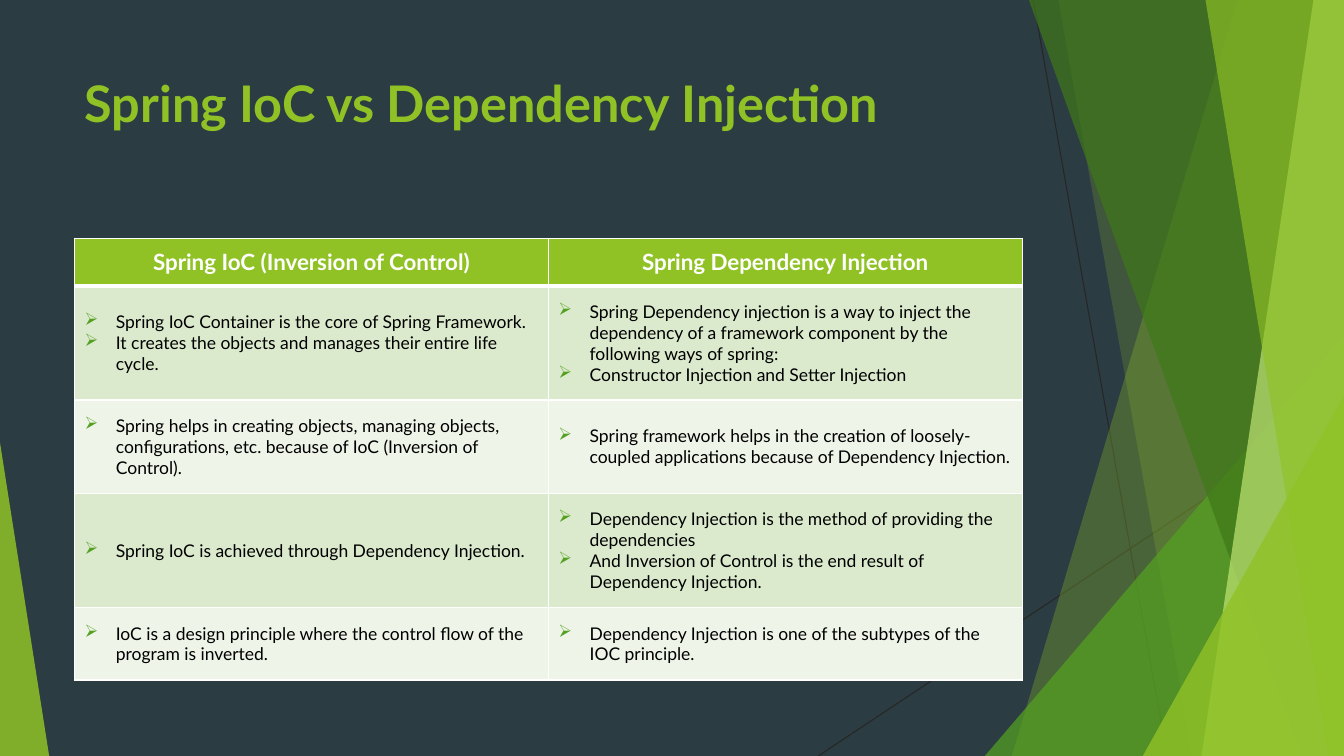
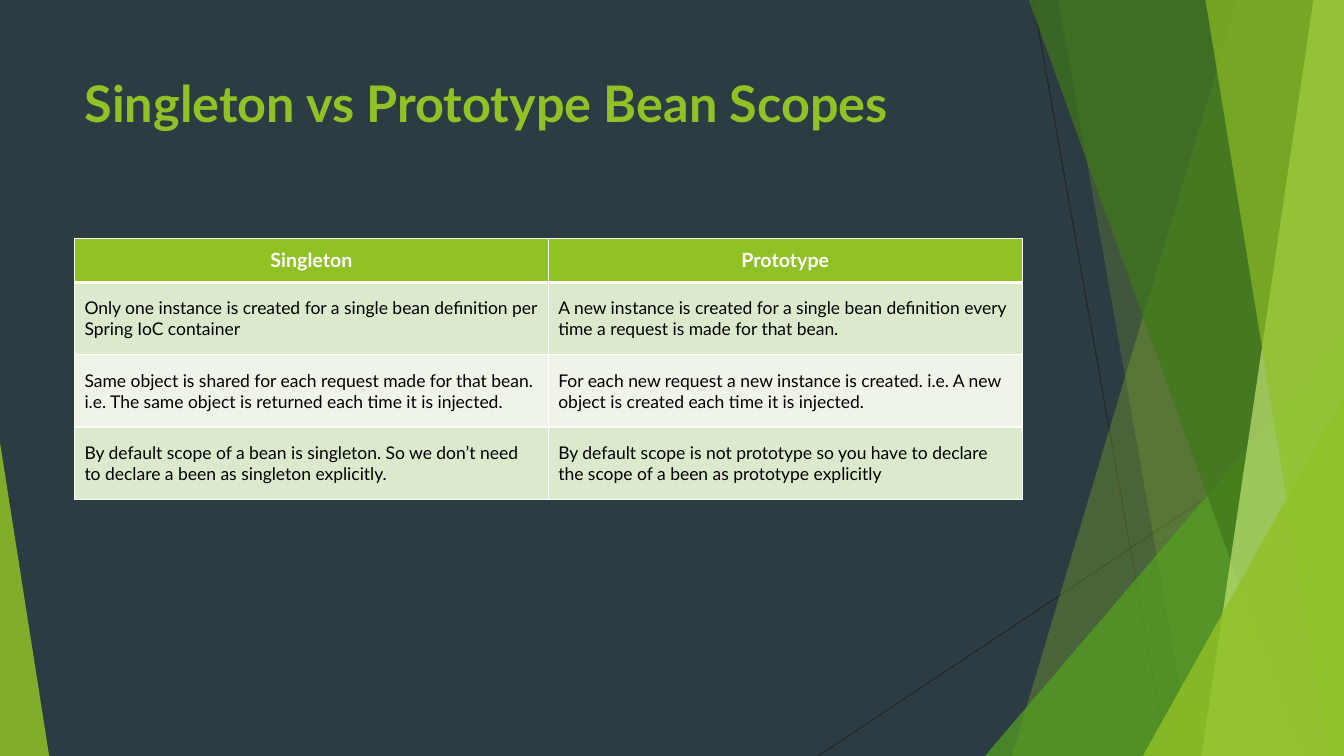
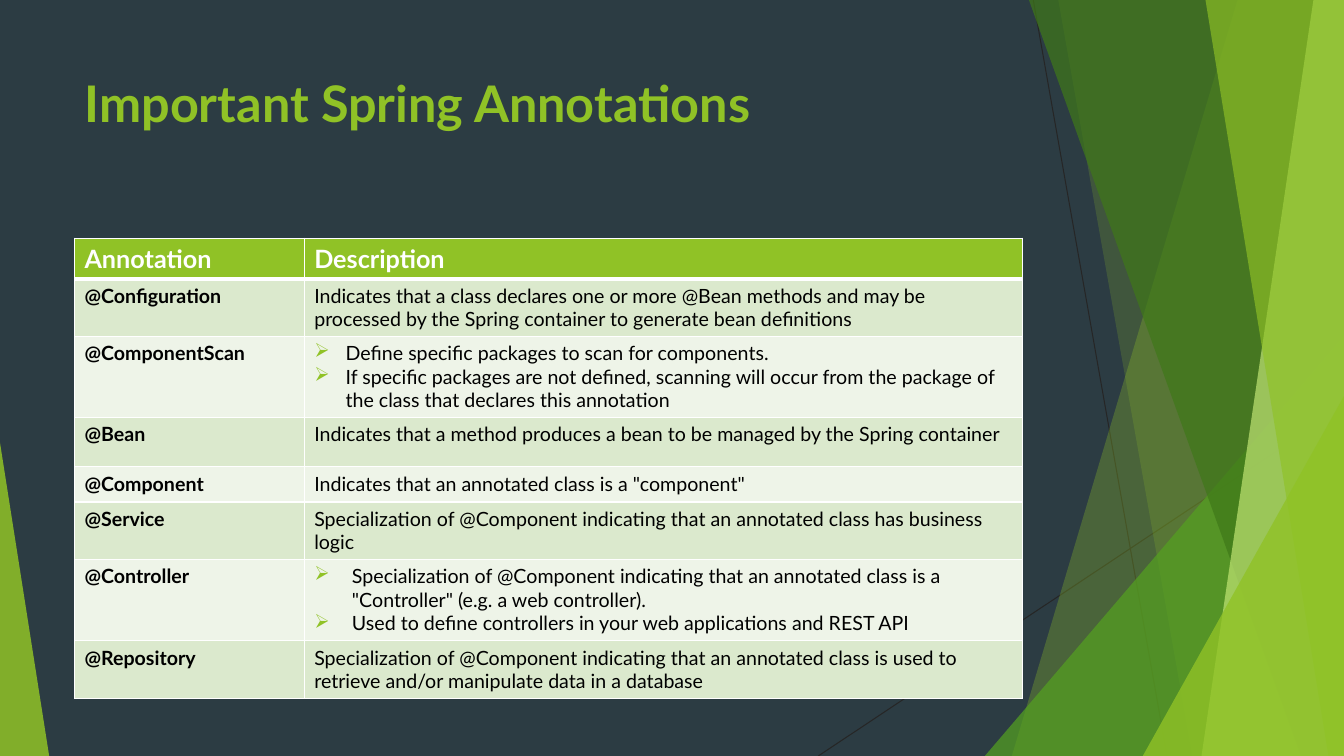
from pptx import Presentation
from pptx.dml.color import RGBColor
from pptx.enum.shapes import MSO_CONNECTOR, MSO_SHAPE
from pptx.enum.text import MSO_ANCHOR, PP_ALIGN
from pptx.oxml import parse_xml
from pptx.oxml.ns import nsdecls, qn
from pptx.util import Cm, Pt

FONT = "Lato"
LIME, GREEN, FOREST, PALE_LIME = "90C226", "54A021", "3F7819", "C0E474"
BACKGROUND, LINE, WHITE, BLACK = "2C3C43", "262626", "FFFFFF", "000000"
ROW_FILLS = ["EEF4E8", "DBE9CD"]
WIDTH, HEIGHT = 33.87, 19.05
LEFT, CONTENT_WIDTH = 1.88, 23.88


def paint(fill, colour):
    fill.solid()
    fill.fore_color.rgb = RGBColor.from_string(colour)


def write_text(text_frame, lines, size=14, colour=BLACK, bold=False,
               align=PP_ALIGN.LEFT, bullet_colour=None, indent=0.79):
    """Write one paragraph per line, with arrow bullets if they have a colour."""
    for number, line in enumerate(lines):
        paragraph = text_frame.add_paragraph() if number else text_frame.paragraphs[0]
        paragraph.alignment = align
        run = paragraph.add_run()
        run.text = line
        run.font.name, run.font.size, run.font.bold = FONT, Pt(size), bold
        paint(run.font.fill, colour)
        if bullet_colour:
            properties = paragraph._p.get_or_add_pPr()
            properties.set("marL", str(Cm(indent)))
            properties.set("indent", str(-Cm(indent)))
            properties.append(parse_xml(
                f'<a:buClr {nsdecls("a")}><a:srgbClr val="{bullet_colour}"/></a:buClr>'))
            properties.append(parse_xml(f'<a:buChar {nsdecls("a")} char="➢"/>'))


presentation = Presentation()
presentation.slide_width, presentation.slide_height = Cm(WIDTH), Cm(HEIGHT)
master = presentation.slide_master
layout = presentation.slide_layouts.get_by_name("Title Only")

# Shared background and title place
paint(master.background.fill, BACKGROUND)
layout_title = layout.placeholders[0]
layout_title.left, layout_title.top = Cm(LEFT), Cm(1.7)
layout_title.width, layout_title.height = Cm(CONTENT_WIDTH), Cm(3.66)

# Slide contents: a list in a cell becomes a bulleted list
comparison = {"columns": [11.94, 11.94], "margins": [0.25, 0.38], "size": 12.5,
              "anchor": MSO_ANCHOR.MIDDLE, "header_align": PP_ALIGN.CENTER,
              "bold_labels": False, "bullet_colour": GREEN, "indents": {}}
contents = [
    {**comparison, "title": "Spring IoC vs Dependency Injection",
     "header_size": 16, "heights": [1.2, 2.88, 2.32, 2.87, 1.83],
     "rows": [
         ["Spring IoC (Inversion of Control)", "Spring Dependency Injection"],
         [["Spring IoC Container is the core of Spring Framework.",
           "It creates the objects and manages their entire life cycle."],
          ["Spring Dependency injection is a way to inject the dependency of a "
           "framework component by the following ways of spring:",
           "Constructor Injection and Setter Injection"]],
         [["Spring helps in creating objects, managing objects, configurations, etc. "
           "because of IoC (Inversion of Control)."],
          ["Spring framework helps in the creation of loosely-coupled applications "
           "because of Dependency Injection."]],
         [["Spring IoC is achieved through Dependency Injection."],
          ["Dependency Injection is the method of providing the dependencies",
           "And Inversion of Control is the end result of Dependency Injection."]],
         [["IoC is a design principle where the control flow of the program is inverted."],
          ["Dependency Injection is one of the subtypes of the IOC principle."]],
     ]},
    {**comparison, "title": "Singleton vs Prototype Bean Scopes",
     "header_size": 14, "heights": [1.12, 1.8, 1.8, 1.8],
     "rows": [
         ["Singleton", "Prototype"],
         ["Only one instance is created for a single bean definition per Spring IoC container",
          "A new instance is created for a single bean definition every time a request "
          "is made for that bean."],
         ["Same object is shared for each request made for that bean. i.e. The same "
          "object is returned each time it is injected.",
          "For each new request a new instance is created. i.e. A new object is created "
          "each time it is injected."],
         ["By default scope of a bean is singleton. So we don’t need to declare a been "
          "as singleton explicitly.",
          "By default scope is not prototype so you have to declare the scope of a been "
          "as prototype explicitly"],
     ]},
    {"title": "Important Spring Annotations",
     "columns": [5.79, 18.09], "margins": [0.13, 0.13], "size": 14, "header_size": 18,
     "anchor": MSO_ANCHOR.TOP, "header_align": PP_ALIGN.LEFT, "bold_labels": True,
     "bullet_colour": LIME, "indents": {6: 0.95},
     "heights": [1.02, 1.44, 2.05, 1.24, 0.89, 1.44, 2.05, 1.44],
     "rows": [
         ["Annotation", "Description"],
         ["@Configuration",
          "Indicates that a class declares one or more @Bean methods and may be processed "
          "by the Spring container to generate bean definitions"],
         ["@ComponentScan",
          ["Define specific packages to scan for components.",
           "If specific packages are not defined, scanning will occur from the package of "
           "the class that declares this annotation"]],
         ["@Bean",
          "Indicates that a method produces a bean to be managed by the Spring container"],
         ["@Component", 'Indicates that an annotated class is a "component"'],
         ["@Service",
          "Specialization of @Component indicating that an annotated class has business logic"],
         ["@Controller",
          ["Specialization of @Component indicating that an annotated class is a "
           '"Controller" (e.g. a web controller).',
           "Used to define controllers in your web applications and REST API"]],
         ["@Repository",
          "Specialization of @Component indicating that an annotated class is used to "
          "retrieve and/or manipulate data in a database"],
     ]},
]
slides = [presentation.slides.add_slide(layout) for content in contents]

# Decoration: thin lines, then translucent bands and triangles
shapes = slides[0].shapes
decoration = []
for ends in [(26.04, 0, 29.41, HEIGHT), (WIDTH, 10.24, 20.62, HEIGHT)]:
    connector = shapes.add_connector(MSO_CONNECTOR.STRAIGHT, *[Cm(end) for end in ends])
    connector.line.width = Pt(0.75)
    paint(connector.line.fill, LINE)
    connector.element.spPr.append(parse_xml(f'<a:effectLst {nsdecls("a")}/>'))
    decoration.append(connector)

# A band has its left edge at the top and bottom; a triangle its left, top, width and apex
for outline, colour, opacity in [
    ((31.19, 25.5), LIME, 30),
    ((26.67, 30.05), LIME, 20),
    ((24.82, 8.46, 9.05, 1), GREEN, 72),
    ((25.93, 32.79), FOREST, 70),
    ((33.1, 30.28), PALE_LIME, 70),
    ((30.38, 33.48), LIME, 65),
    ((28.8, 9.98, 5.07, 1), LIME, 80),
    ((0, 11.15, 1.24, 0), LIME, 85),
]:
    if len(outline) == 2:
        top_left, bottom_left = outline
        builder = shapes.build_freeform(Cm(top_left), 0)
        corners = [(WIDTH, 0), (WIDTH, HEIGHT), (bottom_left, HEIGHT)]
        builder.add_line_segments([(Cm(x), Cm(y)) for x, y in corners], close=True)
        shape = builder.convert_to_shape()
    else:
        left, top, width, apex = outline
        shape = shapes.add_shape(MSO_SHAPE.ISOSCELES_TRIANGLE, Cm(left), Cm(top),
                                 Cm(width), Cm(HEIGHT - top))
        shape.adjustments[0] = apex
    shape.shadow.inherit = False
    shape.line.fill.background()
    paint(shape.fill, colour)
    shape.element.find(".//" + qn("a:srgbClr")).append(
        parse_xml(f'<a:alpha {nsdecls("a")} val="{opacity * 1000}"/>'))
    decoration.append(shape)

# Move the decoration to the master, behind its placeholders
for number, shape in enumerate(decoration):
    shape.element.xpath(".//p:cNvPr")[0].set("id", str(100 + number))
    master.shapes.element.insert(2 + number, shape.element)

# Titles and tables
for slide, content in zip(slides, contents):
    title = slide.shapes.title
    title.text_frame.vertical_anchor = MSO_ANCHOR.TOP
    write_text(title.text_frame, [content["title"]], size=36, colour=LIME, bold=True)

    rows = content["rows"]
    table = slide.shapes.add_table(
        len(rows), 2, Cm(LEFT), Cm(6), Cm(CONTENT_WIDTH), Cm(sum(content["heights"]))).table
    table.horz_banding = False
    for column, width in zip(table.columns, content["columns"]):
        column.width = Cm(width)

    for row_number, row in enumerate(rows):
        is_header = row_number == 0
        table.rows[row_number].height = Cm(content["heights"][row_number])
        for column_number, value in enumerate(row):
            cell = table.cell(row_number, column_number)
            cell.vertical_anchor = content["anchor"]
            cell.margin_left = cell.margin_right = Cm(0.25)
            cell.margin_top = cell.margin_bottom = Cm(content["margins"][not is_header])

            # White borders, thick below the header
            for side in "LRTB":
                thick = (side, row_number) in [("B", 0), ("T", 1)]
                cell._tc.tcPr.append(parse_xml(
                    f'<a:ln{side} {nsdecls("a")} w="{Pt(3 if thick else 1)}"><a:solidFill>'
                    f'<a:srgbClr val="{WHITE}"/></a:solidFill></a:ln{side}>'))
            paint(cell.fill, LIME if is_header else ROW_FILLS[row_number % 2])

            if is_header:
                write_text(cell.text_frame, [value], size=content["header_size"],
                           colour=WHITE, bold=True, align=content["header_align"])
            elif isinstance(value, list):
                write_text(cell.text_frame, value, size=content["size"],
                           bullet_colour=content["bullet_colour"],
                           indent=content["indents"].get(row_number, 0.79))
            else:
                write_text(cell.text_frame, [value], size=content["size"],
                           bold=content["bold_labels"] and column_number == 0)

presentation.save("out.pptx")
